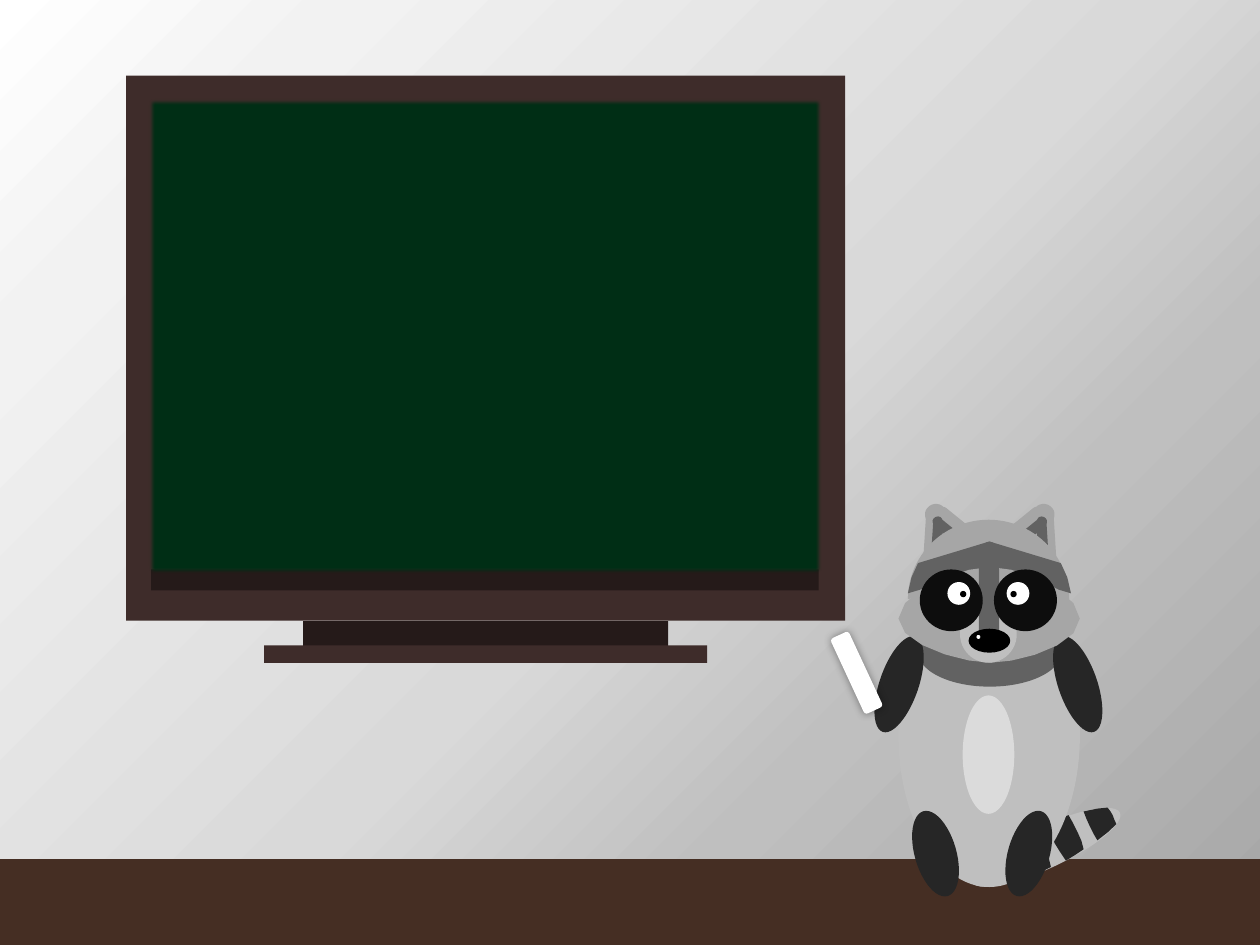
import math

from lxml import etree
from pptx import Presentation
from pptx.dml import color
from pptx.enum import shapes
from pptx.oxml import ns
from pptx.util import Pt

RECT = shapes.MSO_SHAPE.RECTANGLE
ROUND = shapes.MSO_SHAPE.ROUNDED_RECTANGLE
OVAL = shapes.MSO_SHAPE.OVAL
MOON = shapes.MSO_SHAPE.MOON
A = ns.nsdecls("a")
EARS, BROW, FACE = 565.6, 565.4, 564.8  # mirror axes
GREY, SMOKE, SILVER, COAL = "A6A6A6", "626262", "BFBFBF", "262626"


def draw(host, kind, box, fill, turn=0, axis=None, steps=2):
    """Add a preset shape, or an outline when kind is None; axis mirrors it."""
    if axis:
        turn = -turn
    if kind is None:
        dots = [box[0]]
        for seg in box[1:]:
            if len(seg) == 2:
                dots.append(seg)
                continue
            a, b, c, d = dots[-1], seg[0:2], seg[2:4], seg[4:6]
            for i in range(1, steps + 1):
                t = i / steps
                u = 1 - t
                dots.append(tuple(u**3 * a[k] + 3 * u * u * t * b[k]
                                  + 3 * u * t * t * c[k] + t**3 * d[k] for k in (0, 1)))
        if axis:
            dots = [(2 * axis - x, y) for x, y in dots]
        # Turn the points back, so that the rotation restores them in place
        co, si = math.cos(math.radians(turn)), math.sin(math.radians(turn))
        dots = [(x * co + y * si, y * co - x * si) for x, y in dots]
        mx, my = ((min(v) + max(v)) / 2 for v in zip(*dots))
        dx, dy = mx * co - my * si - mx, mx * si + my * co - my
        dots = [(Pt(x + dx), Pt(y + dy)) for x, y in dots]
        pen = host.build_freeform(*dots[0])
        pen.add_line_segments(dots[1:-1], close=True)
        item = pen.convert_to_shape()
    else:
        x, y, w, h = box
        if axis:
            x = 2 * axis - x - w
        item = host.add_shape(kind, Pt(x), Pt(y), Pt(w), Pt(h))
    item.rotation = turn % 360
    item.shadow.inherit = False
    item.fill.solid()
    item.fill.fore_color.rgb = color.RGBColor.from_string(fill)
    item.line.fill.background()
    return item


def effect(item, *parts):
    """Put effects in the shape's effect list."""
    box = item.element.spPr.find(ns.qn("a:effectLst"))
    for xml in parts:
        box.append(etree.fromstring(xml))


SHADE = (f'<a:outerShdw {A} blurRad="{Pt(5)}" dist="0" dir="0" rotWithShape="0">'
         '<a:srgbClr val="000000"><a:alpha val="40000"/></a:srgbClr></a:outerShdw>')
SOFT = '<a:softEdge ' + A + ' rad="{}"/>'

deck = Presentation()
deck.slide_width, deck.slide_height = Pt(720), Pt(540)
slide = deck.slides.add_slide(deck.slide_layouts[6])
page = slide.shapes

# Wall: round gradient from the lower right corner
slide.background.fill.gradient()
old = slide.element.find(".//" + ns.qn("a:gradFill"))
stops = [(0, GREY), (29, SILVER), (47, "D9D9D9"), (84, "F2F2F2"), (100, "FFFFFF")]
marks = "".join(f'<a:gs pos="{p * 1000}"><a:srgbClr val="{c}"/></a:gs>' for p, c in stops)
wall = etree.fromstring(
    f'<a:gradFill {A} rotWithShape="1"><a:gsLst>{marks}</a:gsLst>'
    '<a:path path="circle"><a:fillToRect l="100000" t="100000"/></a:path></a:gradFill>')
old.getparent().replace(old, wall)

# Floor
draw(page, RECT, (0, 491, 722, 49.7), "452E23")

# Raccoon: ears
pet = page.add_group_shape().shapes
ears = [
    ((530.6, 298.1, 34.6, 13.7), GREY, 39.1),
    ((517.7, 303.8, 34.6, 13.7), GREY, 273.6),
    ((528.5, 288, 12.2, 11.5), GREY, 336.4),
    ((533.5, 300.2, 15.8, 5.8), SMOKE, 39.1),
    ((527.8, 302.4, 15.8, 5.8), SMOKE, 273.6),
    ((532.8, 295.2, 5.8, 5), SMOKE, 336.4),
]
for axis in (EARS, None):
    for i, (box, fill, turn) in enumerate(ears):
        draw(pet, OVAL if i % 3 == 2 else ROUND, box, fill, turn, axis)

# Tail with dark bands
draw(pet, OVAL, (550.8, 472.3, 93.6, 23.8), SILVER, 335)
bands = [
    [(577.4, 493.2), (578.9, 496.8, 580.3, 499.7, 581, 502.6),
     (576, 504, 571.7, 505.4, 568.1, 506.2), (566.6, 504, 565.2, 501.8, 564.5, 499.7),
     (563, 496.8, 562.3, 494.6, 561.6, 492.5), (564.5, 489.6, 568.1, 487.4, 572.4, 484.6),
     (573.8, 486.7, 576, 489.6, 577.4, 493.2)],
    [(596.9, 484.6), (599, 488.2, 599.8, 491.8, 600.5, 495.4),
     (596.9, 497.5, 593.3, 499, 589.7, 499.7), (587.5, 497.5, 585.4, 493.9, 583.9, 490.3),
     (582.5, 486.7, 581, 483.1, 580.3, 479.5), (583.2, 477.4, 586.8, 475.9, 591.1, 473.8),
     (593.3, 476.6, 594.7, 480.2, 596.9, 484.6)],
    [(615.6, 475.2), (617.8, 478.8, 618.5, 482.4, 619.2, 485.3),
     (616.3, 487.4, 612.7, 489.6, 609.1, 491.8), (607, 488.9, 604.8, 485.3, 602.6, 481.7),
     (601.2, 477.4, 599.8, 473.8, 599, 470.2), (602.6, 468.7, 607, 467.3, 610.6, 465.8),
     (612, 468.7, 614.2, 471.6, 615.6, 475.2)],
    [(635.8, 465.8), (636.5, 468, 637.2, 469.4, 637.9, 470.9),
     (635.8, 473.8, 631.4, 476.6, 627.1, 480.2), (625.7, 478.1, 624.2, 475.2, 622.8, 472.3),
     (621.4, 469.4, 619.9, 465.8, 619.2, 463.7), (625, 462.2, 630, 461.5, 632.9, 461.5),
     (634.3, 463, 635, 464.4, 635.8, 465.8)],
]
for band in bands:
    draw(pet, None, band, COAL, 155)

# Body, collar and arms
draw(pet, OVAL, (513.4, 334.1, 103.7, 172.8), SILVER)
draw(pet, OVAL, (524.9, 353.5, 81.4, 38.9), SMOKE)
for axis in (FACE, None):
    draw(pet, OVAL, (502.6, 362.2, 22.3, 57.6), COAL, 18.9, axis)

# Head, brow and cheeks
head = draw(pet, MOON, (542.2, 273.6, 45.4, 92.2), GREY, 90)
head.adjustments[0] = 0.875
brow = [(565.2, 309.6), (563.8, 309.6, 563, 310.3, 562.3, 311), (560.2, 321.1),
        (559.4, 322.6, 560.2, 324, 561.6, 324), (612, 339.1),
        (611.3, 332.6, 609.1, 326.9, 606.2, 321.8), (565.9, 309.6), (565.2, 309.6)]
for axis in (None, BROW):
    draw(pet, None, brow, SMOKE, 16.3, axis)
cheeks = [(513.4, 353.5), (513.4, 338.4, 548.6, 324, 565.9, 324),
          (583.2, 324, 617, 338.4, 617, 353.5), (617, 368.6, 583.2, 378.7, 565.9, 378.7),
          (548.6, 378.7, 513.4, 367.9, 513.4, 353.5)]
draw(pet, None, cheeks, GREY, steps=5)

# Muzzle, eyes and nose
draw(pet, OVAL, (548.6, 346.3, 32.4, 32.4), SILVER)
draw(pet, ROUND, (559.4, 321.8, 11.5, 43.2), SMOKE)
for axis in (None, FACE):
    draw(pet, OVAL, (525.6, 325.4, 36, 35.3), "0D0D0D", axis=axis)
    draw(pet, OVAL, (541.4, 332.6, 13, 13), "FFFFFF", axis=axis)
    glow = draw(pet, OVAL, (527.8, 339.1, 15.8, 15.1), "2C2C2C", axis=axis)
    effect(glow, SHADE, SOFT.format(Pt(8)))
    draw(pet, OVAL, (548.6, 337.7, 3.6, 3.6), "000000", axis=axis)
draw(pet, OVAL, (553.5, 359.3, 23.8, 13.7), "000000")
draw(pet, OVAL, (558, 362.9, 2.2, 2.2), "FFFFFF")

# Legs and belly
for x, turn in ((522.7, 344), (576, 16)):
    draw(pet, OVAL, (x, 462.6, 23.8, 50.4), COAL, turn)
draw(pet, OVAL, (550.1, 397.4, 29.5, 67.7), "DBDBDB")

# Chalk
chalk = draw(page, ROUND, (483.8, 360.7, 11.5, 47.5), "FFFFFF", 335.1)
effect(chalk, SHADE)

# Blackboard and its stand
WOOD, DARK = "3E2C2A", "251A19"
draw(page, RECT, (72, 43.2, 411, 311.5), WOOD)
draw(page, RECT, (86.4, 325.4, 381.4, 12), DARK)
board = draw(page, RECT, (85, 56.2, 385, 272.2), "002E15")
effect(board, SOFT.format(Pt(2.5)))
draw(page, RECT, (173.2, 355, 208.6, 17.3), DARK)
draw(page, RECT, (151, 368.8, 253.2, 10.1), WOOD)

deck.save("out.pptx")
